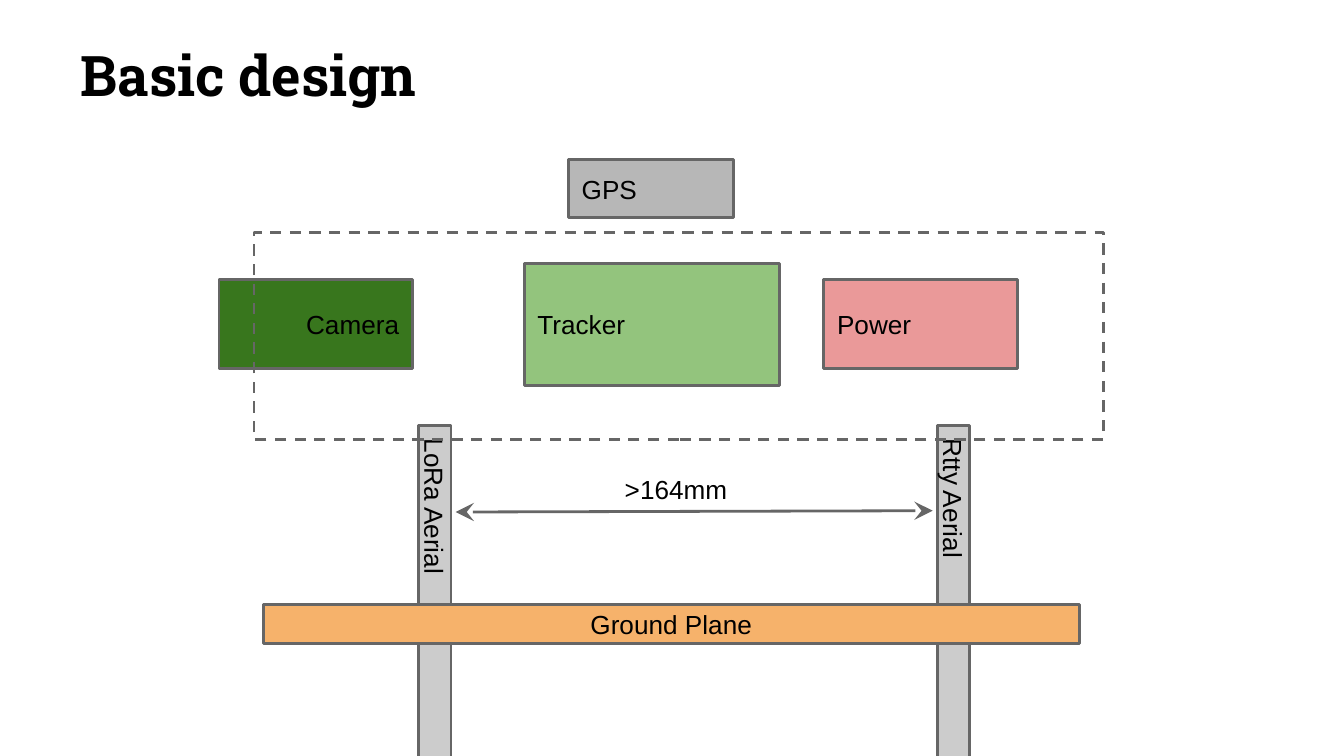
from lxml import etree
from pptx import Presentation
from pptx import util as u
from pptx.dml.color import RGBColor
from pptx.enum import dml, shapes, text
from pptx.oxml.ns import qn

COLORS = {
    "black": "000000", "edge": "666666", "gps": "B7B7B7",
    "tracker": "93C47D", "camera": "38761D", "power": "EA9999",
    "aerial": "CCCCCC", "ground": "F6B26B",
}
LEFT, CENTER, RIGHT = text.PP_ALIGN.LEFT, text.PP_ALIGN.CENTER, text.PP_ALIGN.RIGHT
MIDDLE = text.MSO_ANCHOR.MIDDLE


def color(name):
    return RGBColor.from_string(COLORS[name])


def lengths(*values):
    return [u.Inches(v) for v in values]


def write(shape, words, align=LEFT, anchor=MIDDLE, size=14, face="Arial", bold=False):
    frame = shape.text_frame
    frame.text = words
    frame.word_wrap = True
    frame.auto_size = text.MSO_AUTO_SIZE.NONE
    frame.vertical_anchor = anchor
    for side in ("left", "top", "right", "bottom"):
        setattr(frame, f"margin_{side}", u.Inches(0.1))
    par = frame.paragraphs[0]
    par.alignment = align
    par.font.name, par.font.size, par.font.bold = face, u.Pt(size), bold
    par.font.color.rgb = color("black")


def stroke(shape):
    shape.line.color.rgb = color("edge")
    shape.line.width = u.Pt(1.5)


def add_box(slide, place, fill=None):
    box = slide.shapes.add_shape(shapes.MSO_SHAPE.RECTANGLE, *lengths(*place))
    box.shadow.inherit = False
    if fill:
        box.fill.solid()
        box.fill.fore_color.rgb = color(fill)
    else:
        box.fill.background()
    stroke(box)
    return box


def add_part(slide, words, place, fill, align=LEFT):
    box = add_box(slide, place, fill)
    write(box, words, align)
    return box


def add_aerial(slide, words, left):
    add_part(slide, words, (left, 4.65, 3.21, 0.24), "aerial").rotation = 90


def add_case(slide):
    add_box(slide, (1.89, 1.73, 6.32, 1.54)).line.dash_style = dml.MSO_LINE.DASH


def add_span(slide, words):
    arrow = slide.shapes.add_connector(
        shapes.MSO_CONNECTOR.STRAIGHT, *lengths(3.39, 3.81, 6.94, 3.8))
    stroke(arrow)
    line = arrow.line._get_or_add_ln()
    for end in ("a:headEnd", "a:tailEnd"):
        tip = etree.SubElement(line, qn(end))
        tip.set("type", "stealth")
        tip.set("w", "lg")
        tip.set("len", "lg")
    etree.SubElement(arrow._element.spPr, qn("a:effectLst"))
    label = slide.shapes.add_textbox(*lengths(4.55, 3.42, 1.01, 0.38))
    write(label, words, anchor=text.MSO_ANCHOR.TOP)


def add_title(slide, words):
    title = slide.shapes.title
    title.left, title.top, title.width, title.height = lengths(0.5, 0.23, 9, 0.67)
    write(title, words, anchor=text.MSO_ANCHOR.BOTTOM, size=30,
          face="Roboto Slab", bold=True)


def main():
    deck = Presentation()
    deck.slide_width, deck.slide_height = lengths(10, 10 * 9 / 16)
    slide = deck.slides.add_slide(deck.slide_layouts[5])
    add_title(slide, "Basic design")
    add_part(slide, "GPS", (4.23, 1.19, 1.23, 0.43), "gps")
    add_part(slide, "Tracker", (3.9, 1.96, 1.9, 0.91), "tracker")
    add_part(slide, "Camera", (1.63, 2.08, 1.44, 0.66), "camera", RIGHT)
    add_part(slide, "Power", (6.13, 2.08, 1.44, 0.66), "power")
    add_aerial(slide, "Rtty Aerial", 5.49)
    add_aerial(slide, "LoRa Aerial", 1.63)
    add_part(slide, "Ground Plane", (1.96, 4.5, 6.07, 0.29), "ground", CENTER)
    add_case(slide)
    add_span(slide, ">164mm")
    deck.save("out.pptx")


if __name__ == "__main__":
    main()
